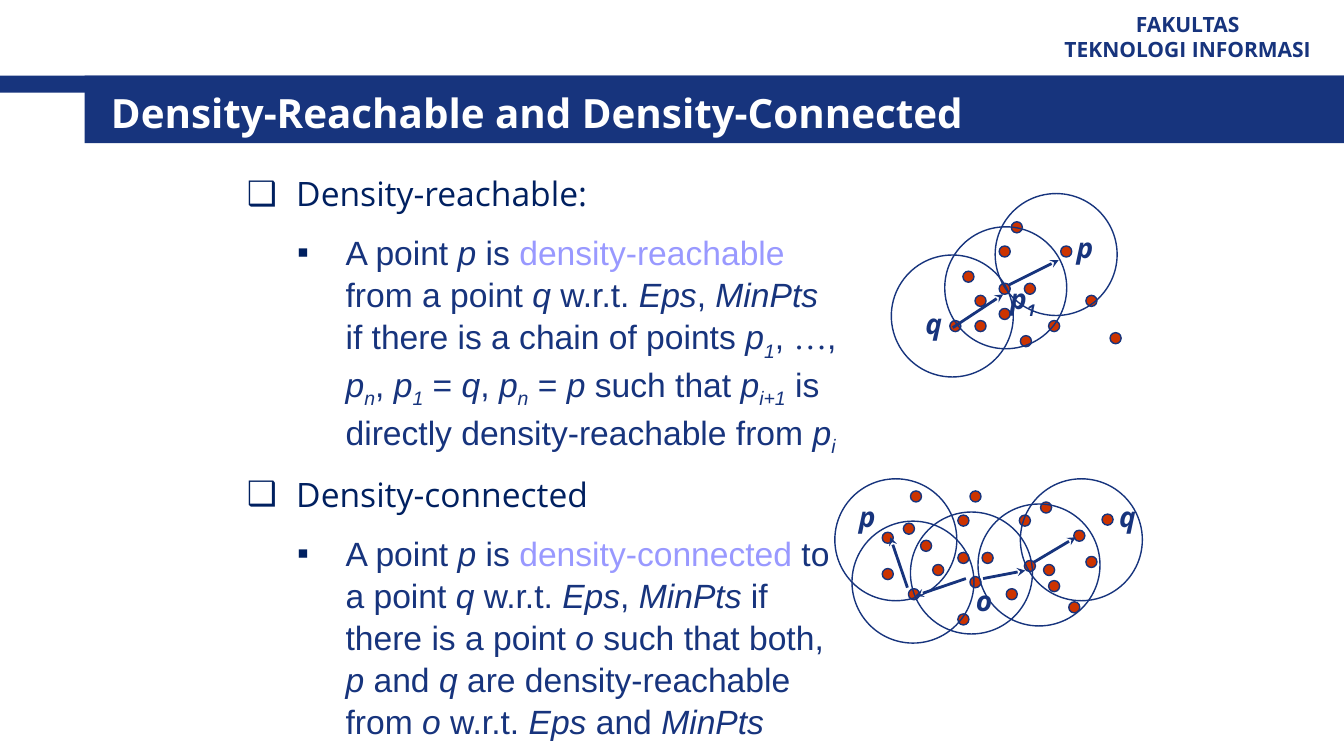
import pptx
import pptx.util
import pptx.dml.color
import pptx.enum.shapes
import pptx.enum.text
import pptx.oxml
import pptx.oxml.ns
from dataclasses import dataclass


@dataclass(frozen=True)
class Theme:
    navy: str = "17347D"
    heading: str = "002060"
    highlight: str = "9999FF"
    dot: str = "CC3300"
    white: str = "FFFFFF"
    display: str = "Open Sans"
    body: str = "Arial"
    ellipsis: str = "Times New Roman"
    title_size: float = 28.8
    body_size: float = 24
    label_size: float = 20
    faculty_size: float = 15


THEME = Theme()
WIDTH, HEIGHT = 13.33, 7.5
DOT, NEIGHBORHOOD = 0.11, 1.21

TITLE = "Density-Reachable and Density-Connected"
FACULTY = ["FAKULTAS", "TEKNOLOGI INFORMASI"]
BANDS = [(0, 0.75, WIDTH, 0.17), (0.84, 0.75, WIDTH - 0.84, 0.67)]

DEFINITIONS = [
    ("Density-reachable:",
     "A point {i p} is {key density-reachable} from a point {i q} w.r.t. {i Eps}, {i MinPts}"
     " if there is a chain of points {i p}{sub 1}, {dots …}, {i p}{sub n}, {i p}{sub 1} = {i q},"
     " {i p}{sub n} = {i p} such that {i p}{sub i+1} is directly density-reachable from {i p}{sub i}"),
    ("Density-connected",
     "A point {i p} is {key density-connected} to a point {i q} w.r.t. {i Eps}, {i MinPts}"
     " if there is a point {i o} such that both, {i p} and {i q} are density-reachable"
     " from {i o} w.r.t. {i Eps} and {i MinPts}"),
]

DIAGRAMS = [
    {
        "dots": [(9.55, 2.69), (9.91, 2.81), (9.91, 2.44), (9.42, 3.18), (9.67, 2.93),
                 (9.67, 3.18), (10.12, 3.33), (10.03, 2.2), (10.77, 2.93), (10.52, 2.44),
                 (9.91, 3.06), (10.16, 2.81), (10.4, 3.18), (11.01, 3.3)],
        "neighborhoods": [(9.37, 2.25), (8.84, 2.53), (9.87, 1.92)],
        "arrows": [((10, 2.83), (10.5, 2.58)), ((9.45, 3.25), (9.95, 2.92))],
        "labels": [("{i p}", 10.58, 2.24, 0.42), ("{i q}", 9.08, 2.99, 0.42),
                   ("{i p}{sub 1}", 9.92, 2.74, 0.67)],
    },
    {
        "dots": [(9.13, 5.36), (9.5, 5.48), (9.5, 5.11), (9.01, 5.84), (9.25, 5.6),
                 (9.5, 6.09), (9.62, 5.72), (9.62, 4.87), (10.35, 5.6), (10.11, 5.11),
                 (8.75, 5.64), (9.74, 5.48), (9.98, 5.84), (10.6, 5.97), (10.77, 5.52),
                 (10.16, 5.56), (10.4, 5.76), (10.93, 5.1), (10.32, 4.98), (10.65, 5.26),
                 (8.96, 5.19), (8.75, 5.28), (9.03, 4.87)],
        "neighborhoods": [(8.45, 5.17), (9.03, 5.08), (9.7, 5), (10.12, 4.75), (8.28, 4.75)],
        "arrows": [((9.58, 5.74), (9.08, 5.91)), ((9.75, 5.74), (10.17, 5.66)),
                   ((9, 5.83), (8.83, 5.33)), ((10.25, 5.58), (10.67, 5.33))],
        "labels": [("{i p}", 8.42, 4.91, 0.42), ("{i q}", 11, 4.91, 0.42),
                   ("{i o}", 9.58, 5.74, 0.42)],
    },
]


def inches(*lengths):
    return [pptx.util.Inches(length) for length in lengths]


def rgb(color):
    return pptx.dml.color.RGBColor.from_string(color)


def style(span, face, size, color, bold=False):
    span.font.name = face
    span.font.size = pptx.util.Pt(size)
    span.font.color.rgb = rgb(color)
    span.font.bold = bold


def write(para, markup, face, size, color, bold=False):
    for index, piece in enumerate(markup.replace("}", "{").split("{")):
        if not piece:
            continue
        kind, text = piece.split(" ", 1) if index % 2 else ("", piece)
        span = para.add_run()
        span.text = text
        style(span, THEME.ellipsis if kind == "dots" else face, size,
              THEME.highlight if kind == "key" else color, bold)
        span.font.italic = kind in ("i", "sub")
        if kind == "sub":
            span.font._element.set("baseline", "-25000")


def add_bullet(para, symbol, margin, indent):
    properties = para._p.get_or_add_pPr()
    properties.set("marL", str(pptx.util.Inches(margin)))
    properties.set("indent", str(pptx.util.Inches(-indent)))
    namespace = pptx.oxml.ns.nsdecls("a")
    for xml in (f'<a:buClr {namespace}><a:srgbClr val="{THEME.heading}"/></a:buClr>',
                f'<a:buFont {namespace} typeface="{THEME.body}"/>',
                f'<a:buChar {namespace} char="{symbol}"/>'):
        properties.append(pptx.oxml.parse_xml(xml))


def add_shape(shapes, preset, area, fill=None, line=None):
    shape = shapes.add_shape(preset, *inches(*area))
    shape.shadow.inherit = False
    if fill:
        shape.fill.solid()
        shape.fill.fore_color.rgb = rgb(fill)
    else:
        shape.fill.background()
    if line:
        shape.line.color.rgb = rgb(line)
        shape.line.width = pptx.util.Pt(1)
    else:
        shape.line.fill.background()


def add_text_box(shapes, area):
    box = shapes.add_textbox(*inches(*area))
    box.text_frame.word_wrap = True
    return box.text_frame


def add_arrow(shapes, start, tip):
    arrow = shapes.add_connector(pptx.enum.shapes.MSO_CONNECTOR.STRAIGHT, *inches(*start, *tip))
    arrow.line.color.rgb = rgb(THEME.navy)
    arrow.line.width = pptx.util.Pt(2)
    namespace = pptx.oxml.ns.nsdecls("a")
    arrow.line._get_or_add_ln().append(
        pptx.oxml.parse_xml(f'<a:tailEnd {namespace} type="stealth"/>'))
    arrow._element.spPr.append(pptx.oxml.parse_xml(f'<a:effectLst {namespace}/>'))


def add_diagram(page, diagram):
    shapes = page.shapes.add_group_shape().shapes
    oval = pptx.enum.shapes.MSO_SHAPE.OVAL
    for left, top in diagram["dots"]:
        add_shape(shapes, oval, (left, top, DOT, DOT), THEME.dot, THEME.navy)
    for left, top in diagram["neighborhoods"]:
        add_shape(shapes, oval, (left, top, NEIGHBORHOOD, NEIGHBORHOOD), line=THEME.navy)
    for start, tip in diagram["arrows"]:
        add_arrow(shapes, start, tip)
    for markup, left, top, width in diagram["labels"]:
        frame = add_text_box(shapes, (left, top, width, 0.44))
        write(frame.paragraphs[0], markup, THEME.display, THEME.label_size, THEME.navy, True)


deck = pptx.Presentation()
deck.slide_width, deck.slide_height = inches(WIDTH, HEIGHT)
page = deck.slides.add_slide(deck.slide_layouts[5])

for band in BANDS:
    add_shape(page.shapes, pptx.enum.shapes.MSO_SHAPE.RECTANGLE, band, THEME.navy)

title = page.shapes.title
title.left, title.top, title.width, title.height = inches(1, 0.8, 11.89, 0.62)
title.text_frame.text = TITLE
title.text_frame.vertical_anchor = pptx.enum.text.MSO_ANCHOR.MIDDLE
title.text_frame.paragraphs[0].alignment = pptx.enum.text.PP_ALIGN.LEFT
style(title.text_frame.paragraphs[0].runs[0], THEME.display, THEME.title_size, THEME.white, True)
title.element.getparent().append(title.element)

faculty = add_text_box(page.shapes, (10.23, 0.05, 3.1, 0.62))
faculty.text = "\n".join(FACULTY)
faculty.vertical_anchor = pptx.enum.text.MSO_ANCHOR.MIDDLE
for para in faculty.paragraphs:
    para.alignment = pptx.enum.text.PP_ALIGN.CENTER
    style(para.runs[0], THEME.display, THEME.faculty_size, THEME.navy, True)

body = add_text_box(page.shapes, (2.35, 1.67, 6.06, 5.08))
for number, (term, meaning) in enumerate(DEFINITIONS):
    heading = body.add_paragraph() if number else body.paragraphs[0]
    write(heading, term, THEME.display, THEME.body_size, THEME.heading)
    add_bullet(heading, "❑", 0.49, 0.49)
    detail = body.add_paragraph()
    write(detail, meaning, THEME.body, THEME.body_size, THEME.navy)
    detail.line_spacing = 1.04
    add_bullet(detail, "▪", 0.98, 0.48)
    for para in (heading, detail)[0 if number else 1:]:
        para.space_before = pptx.util.Pt(THEME.body_size / 2)

for diagram in DIAGRAMS:
    add_diagram(page, diagram)

deck.save("out.pptx")
